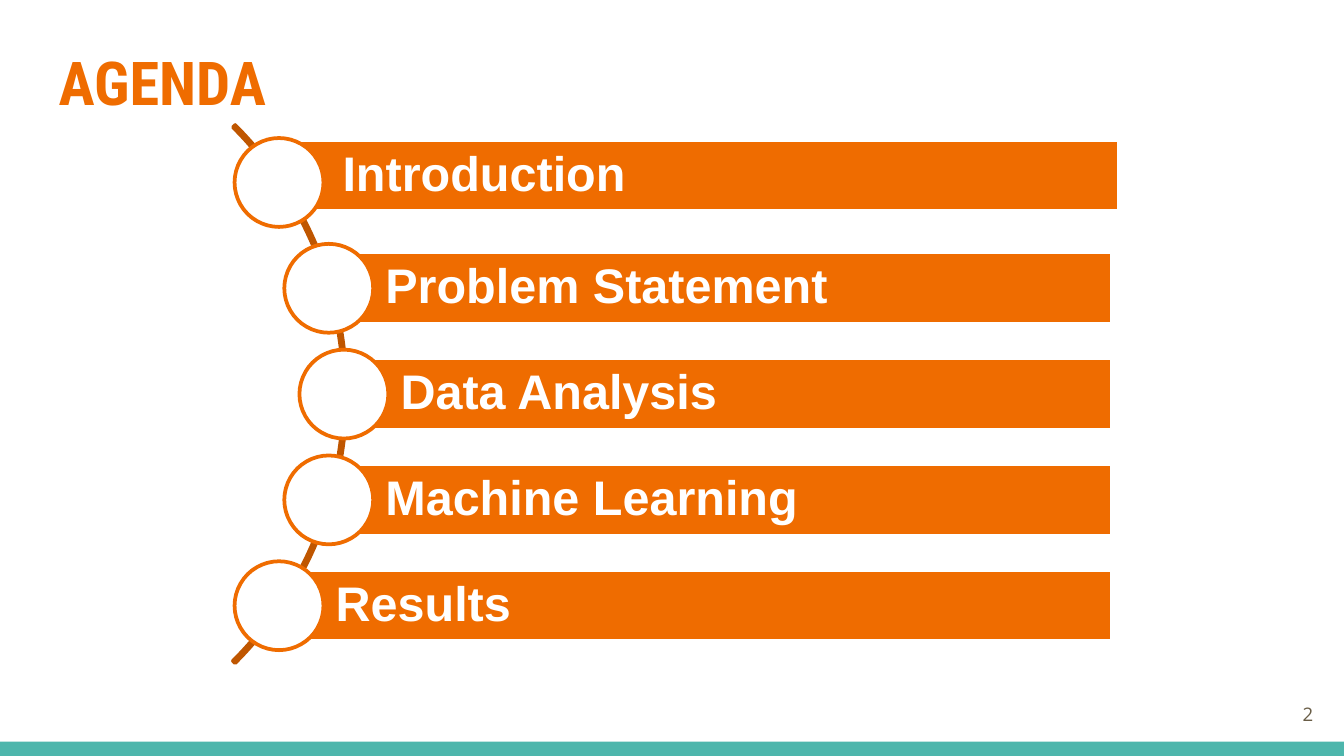
from dataclasses import dataclass
from math import sqrt

from pptx import Presentation
from pptx.dml.color import RGBColor
from pptx.enum.shapes import MSO_SHAPE
from pptx.enum.text import MSO_ANCHOR, PP_ALIGN
from pptx.util import Cm, Pt


@dataclass(frozen=True)
class Theme:
    orange: str = "EF6C00"
    rust: str = "BF5600"
    teal: str = "4DB6AC"
    brown: str = "695D46"
    white: str = "FFFFFF"
    title: float = 32.4
    item: float = 26
    small: float = 10
    line: float = 2


theme = Theme()


def draw(kind, x, y, w, h, fill=None, line=None):
    """Add a preset shape, in cm, with no fill or line unless one is given."""
    shape = slide.shapes.add_shape(kind, Cm(x), Cm(y), Cm(w), Cm(h))
    shape.shadow.inherit = False
    if fill:
        shape.fill.solid()
        shape.fill.fore_color.rgb = RGBColor.from_string(fill)
    else:
        shape.fill.background()
    if line:
        shape.line.color.rgb = RGBColor.from_string(line)
        shape.line.width = Pt(theme.line)
    else:
        shape.line.fill.background()
    return shape


def write(shape, text, font, size, color, bold=False, align=PP_ALIGN.LEFT,
          anchor=MSO_ANCHOR.MIDDLE, left=0.25, inset=0.25):
    """Put one run of text in a shape and return its paragraph."""
    frame = shape.text_frame
    frame.word_wrap = True
    frame.vertical_anchor = anchor
    frame.margin_left = Cm(left)
    frame.margin_top = frame.margin_right = frame.margin_bottom = Cm(inset)
    para = frame.paragraphs[0]
    para.alignment = align
    run = para.add_run()
    run.text = text
    run.font.name = font
    run.font.size = Pt(size)
    run.font.bold = bold
    run.font.color.rgb = RGBColor.from_string(color)
    return para


deck = Presentation()
deck.slide_width, deck.slide_height = Cm(25.4), Cm(14.29)
slide = deck.slides.add_slide(deck.slide_layouts[6])

# Footer band, title and page number
draw(MSO_SHAPE.RECTANGLE, 0, 14.02, 25.4, 0.27, theme.teal)
title = slide.shapes.add_textbox(Cm(0.86), Cm(0.61), Cm(23.67), Cm(1.96))
write(title, "AGENDA", "Roboto Condensed", theme.title, theme.orange,
      bold=True, anchor=MSO_ANCHOR.TOP)
page = slide.shapes.add_textbox(Cm(23.55), Cm(12.95), Cm(1.52), Cm(1.09))
write(page, "2", "Open Sans", theme.small, theme.brown, align=PP_ALIGN.RIGHT)

# Arc from -45 to 45 degrees; each adjustment is in 100,000ths
size = 14.38
hub_x, hub_y = -0.64, 7.45
arc = draw(MSO_SHAPE.BLOCK_ARC, hub_x - size / 2, hub_y - size / 2, size, size,
           line=theme.rust)
for i, value in enumerate((189, 27, 0.004)):
    arc.adjustments[i] = value

# Items: each dot sits on the arc, and its bar starts at the dot's centre
items = ["Introduction", "Problem Statement", "Data Analysis",
         "Machine Learning", "Results"]
radius, step = 7.14, 2
dot, bar_h, right = 1.68, 1.35, 21.02
for i, item in enumerate(items):
    rise = (i - len(items) // 2) * step
    x = hub_x + sqrt(radius ** 2 - rise ** 2)
    y = hub_y + rise
    shift = 0.13 if i == 0 else 0  # the first bar sits up and to the right
    bar = draw(MSO_SHAPE.RECTANGLE, x + shift, y - bar_h / 2 - shift,
               right - x, bar_h, theme.orange, theme.white)
    para = write(bar, item, "Arial", theme.item, theme.white, bold=True,
                 left=1.07, inset=0.17)
    para.line_spacing = 0.9
    draw(MSO_SHAPE.OVAL, x - dot / 2, y - dot / 2, dot, dot,
         theme.white, theme.orange)

deck.save("out.pptx")
